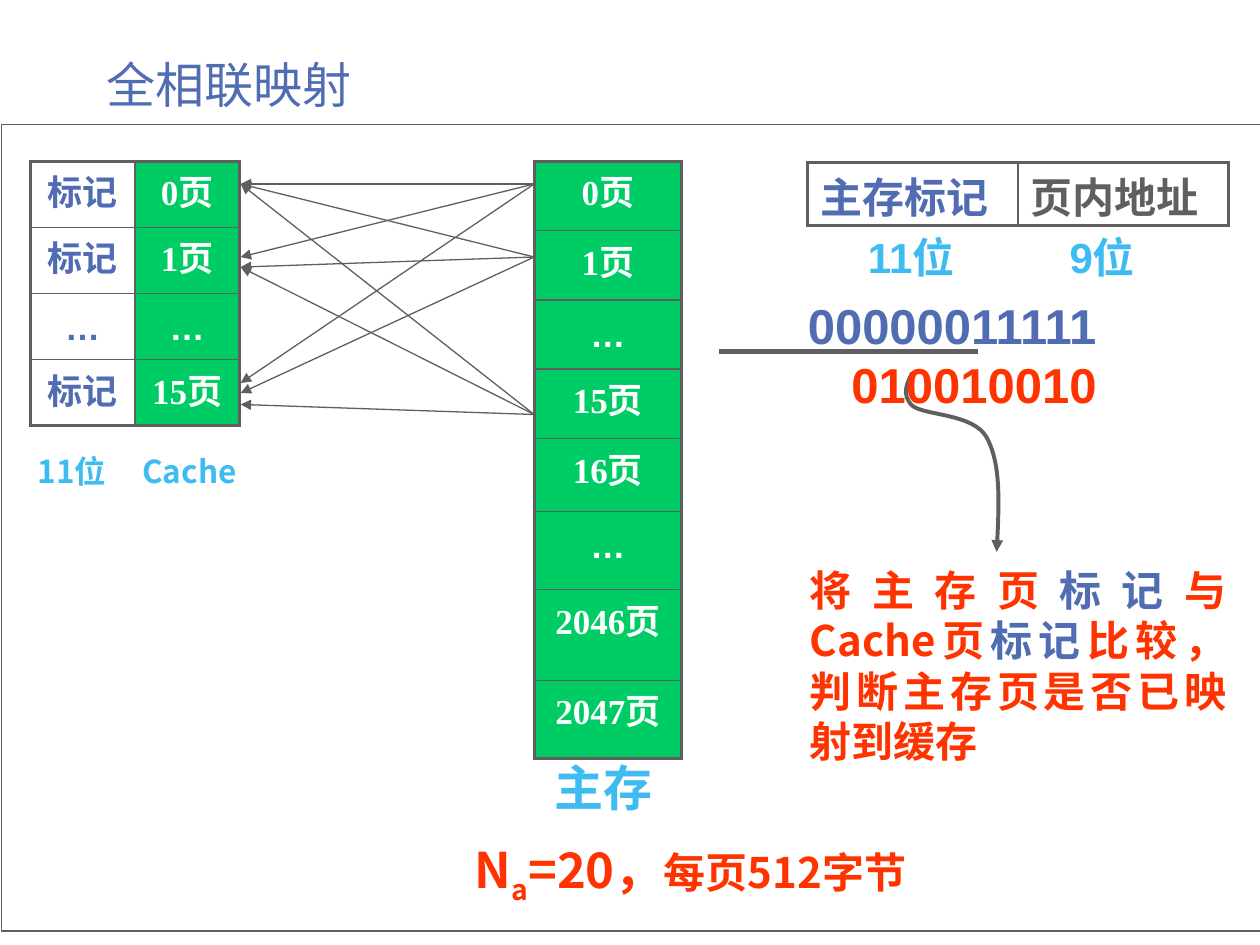
from pptx import Presentation
from pptx.dml.color import RGBColor as Rgb
from pptx.enum.shapes import MSO_CONNECTOR as Connector, MSO_SHAPE as Shape
from pptx.enum.text import MSO_ANCHOR as Anchor, PP_ALIGN as Align
from pptx.oxml.ns import qn
from pptx.util import Inches, Pt
from lxml.etree import SubElement

COLORS = {"line": "5F5F5F", "blue": "506DB4", "sky": "3EBBF0", "red": "FF3300",
          "green": "00CC66", "white": "FFFFFF"}
SANS, SERIF, CJK = "Arial", "Times New Roman", "Noto Sans CJK SC"


class SlideBuilder:
    def __init__(self, slide):
        self.slide = slide
        self.shapes = slide.shapes

    def color(self, name):
        return Rgb.from_string(COLORS[name])

    def add_runs(self, paragraph, runs, size, font, align=Align.LEFT, bold=True, tab=None):
        paragraph.alignment = align
        paragraph.line_spacing = Pt(round(size * 1.2, 1))
        if tab:
            stops = SubElement(paragraph._p.get_or_add_pPr(), qn("a:tabLst"))
            SubElement(stops, qn("a:tab"), pos=str(Inches(tab)), algn="l")
        for text, color, *options in runs:
            extra = options[0] if options else {}
            run = paragraph.add_run()
            run.text = text
            run.font.size = Pt(extra.get("size", size))
            run.font.name = font
            run.font.bold = bold
            run.font.color.rgb = self.color(color)
            properties = run._r.get_or_add_rPr()
            SubElement(properties, qn("a:ea"), typeface=CJK)
            if "baseline" in extra:
                properties.set("baseline", str(extra["baseline"]))

    def text(self, box, lines, size, font=CJK, anchor=Anchor.TOP, **style):
        frame = self.shapes.add_textbox(*map(Inches, box)).text_frame
        frame.word_wrap = True
        frame.vertical_anchor = anchor
        for index, runs in enumerate(lines):
            paragraph = frame.add_paragraph() if index else frame.paragraphs[0]
            self.add_runs(paragraph, runs, size, font, **style)

    def panel(self, box):
        panel = self.shapes.add_shape(Shape.RECTANGLE, *map(Inches, box))
        panel.shadow.inherit = False
        panel.fill.solid()
        panel.fill.fore_color.rgb = self.color("white")
        panel.line.color.rgb = self.color("line")
        panel.line.width = Pt(0.75)

    def border(self, cell, side, width):
        edge = SubElement(cell._tc.get_or_add_tcPr(), qn(f"a:ln{side}"), w=str(Pt(width)))
        fill = SubElement(edge, qn("a:solidFill"))
        SubElement(fill, qn("a:srgbClr"), val=COLORS["line"])

    def table(self, left, top, widths, heights, rows, columns, size=20, align=Align.CENTER):
        box = map(Inches, (left, top, sum(widths), sum(heights)))
        table = self.shapes.add_table(len(heights), len(widths), *box).table
        table.first_row = table.horz_banding = False
        for column, width in zip(table.columns, widths):
            column.width = Inches(width)
        for row, height in zip(table.rows, heights):
            row.height = Inches(height)
        for r, row in enumerate(rows):
            for c, (label, (color, fill)) in enumerate(zip(row, columns)):
                cell = table.cell(r, c)
                cell.margin_top, cell.margin_bottom = Inches(0.1), 0
                outer = {"L": c == 0, "R": c == len(widths) - 1,
                         "T": r == 0, "B": r == len(heights) - 1}
                for side, is_outer in outer.items():
                    self.border(cell, side, 2.25 if is_outer else 1)
                if fill:
                    cell.fill.solid()
                    cell.fill.fore_color.rgb = self.color(fill)
                else:
                    cell.fill.background()
                font = SANS if label == "…" else SERIF
                self.add_runs(cell.text_frame.paragraphs[0], [(label, color)], size, font, align)

    def stroke(self, shape, width, arrow):
        shape.line.color.rgb = self.color("line")
        shape.line.width = Pt(width)
        if arrow:
            SubElement(shape.line._get_or_add_ln(), qn("a:tailEnd"), type="triangle")

    def line(self, start, end, width=0.75, arrow=True):
        points = map(Inches, (*start, *end))
        line = self.shapes.add_connector(Connector.STRAIGHT, *points)
        self.stroke(line, width, arrow)
        SubElement(line._element.spPr, qn("a:effectLst"))

    def curve(self, start, controls, width):
        outline = self.shapes.build_freeform(*map(Inches, start), scale=1.0)
        outline.add_line_segments([tuple(map(Inches, p)) for p in controls], close=False)
        curve = outline.convert_to_shape()
        curve.shadow.inherit = False
        curve.fill.background()
        self.stroke(curve, width, True)
        drawn = next(curve._element.iter(qn("a:path")))
        segments = drawn.findall(qn("a:lnTo"))
        for first in range(0, len(segments), 3):
            bezier = SubElement(drawn, qn("a:cubicBezTo"))
            for segment in segments[first:first + 3]:
                bezier.append(segment[0])
                drawn.remove(segment)


def main():
    deck = Presentation()
    deck.slide_width, deck.slide_height = Inches(10), Inches(7.5)
    page = SlideBuilder(deck.slides.add_slide(deck.slide_layouts[6]))

    page.panel((0.01, 0.99, 10, 6.4))
    page.text((0.75, 0.31, 8.5, 0.72), [[("全相联映射", "blue")]], 28, SANS,
              Anchor.MIDDLE, bold=False)

    cache_rows = [("标记", "0页"), ("标记", "1页"), ("…", "…"), ("标记", "15页")]
    page.table(0.24, 1.28, [0.83] * 2, [0.525] * 4, cache_rows,
               [("blue", None), ("white", "green")])
    page.text((0.2, 3.54, 1.88, 0.4), [[("11位\tCache", "sky")]], 18, tab=0.83)

    memory_pages = ["0页", "1页", "…", "15页", "16页", "…", "2046页", "2047页"]
    page.table(4.24, 1.28, [1.17], [0.55] * 4 + [0.58, 0.62, 0.72, 0.62],
               [(label,) for label in memory_pages], [("white", "green")])
    page.text((4.08, 5.96, 1.42, 0.57), [[("主存", "sky")]], 28, align=Align.CENTER)

    mappings = {1.46: (1.46, 2.04, 3.04), 3.29: (1.46, 2.12, 3.21), 2.04: (1.46, 2.12, 3.12)}
    for memory_y, cache_ys in mappings.items():
        for cache_y in cache_ys:
            page.line((4.24, memory_y), (1.91, cache_y))

    page.table(6.41, 1.29, [1.67] * 2, [0.5], [("主存标记", "页内地址")],
               [("blue", None), ("line", None)], 24, Align.LEFT)
    page.text((6.79, 1.79, 2.62, 0.5), [[("11位\t9位", "sky")]], 24, SANS, tab=1.6)

    comparison = [("将主存页", "red"), ("标记", "blue"), ("与Cache页", "red"),
                  ("标记", "blue"), ("比较，判断主存页是否已映射到缓存", "red")]
    page.text((6.33, 4.43, 3.5, 1.7), [comparison], 24, align=Align.JUSTIFY)
    page.line((5.71, 2.79), (7.76, 2.79), 3, arrow=False)
    page.curve((7.24, 2.96), [(7.2, 3.04), (7.15, 3.13), (7.24, 3.22),
                              (7.34, 3.3), (7.72, 3.28), (7.83, 3.47),
                              (7.94, 3.67), (7.93, 4.02), (7.91, 4.38)], 2.25)

    formula = [("N", "red"), ("a", "red", {"baseline": -25000}), ("=20，", "red"),
               ("每页512字节", "red", {"size": 24})]
    page.text((2.02, 6.68, 6.92, 0.57), [formula], 28, align=Align.CENTER)
    page.text((5.47, 2.3, 3.33, 1.03), [[("00000011111", "blue")], [("010010010", "red")]],
              28, SANS, align=Align.RIGHT)
    deck.save("out.pptx")


if __name__ == "__main__":
    main()
